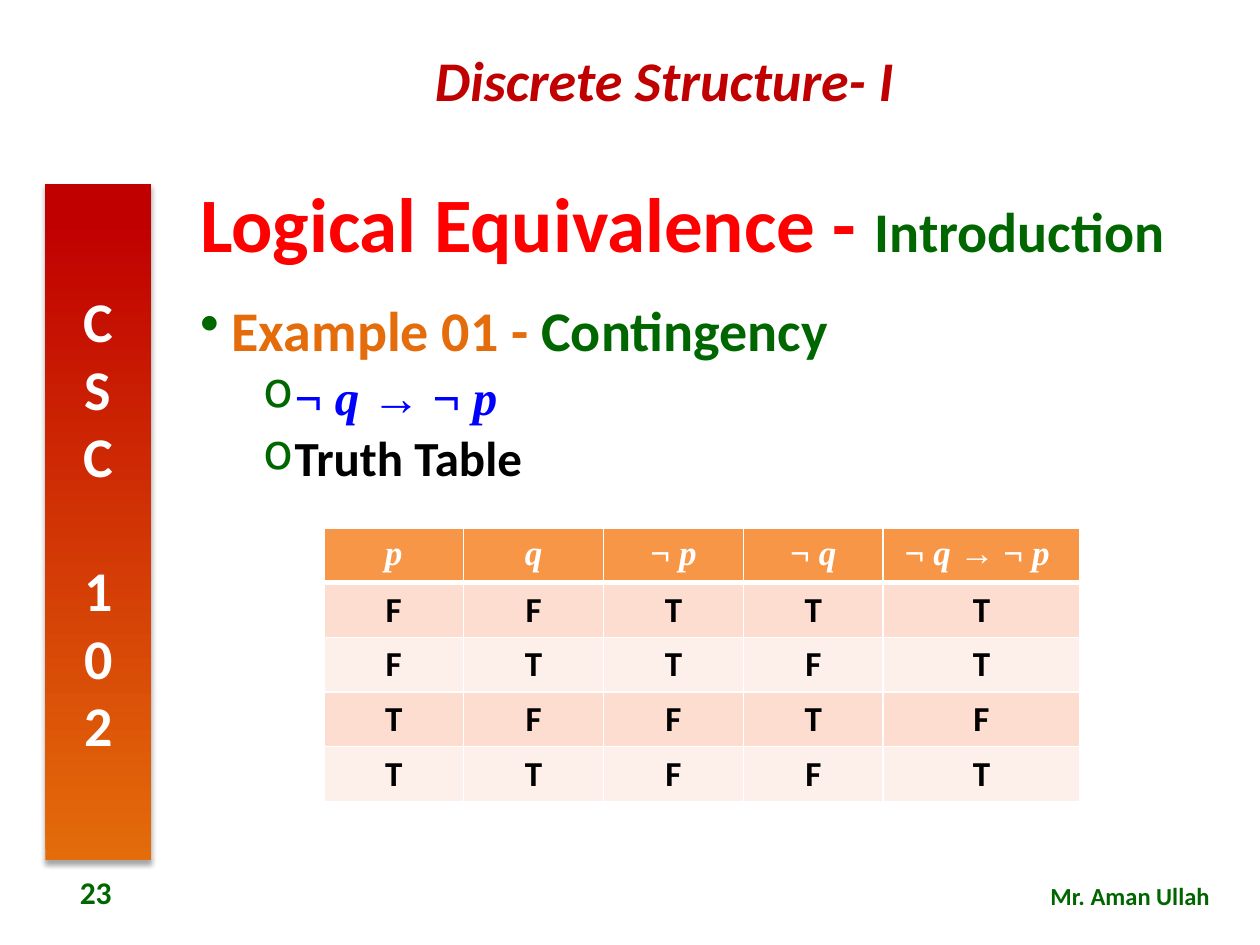
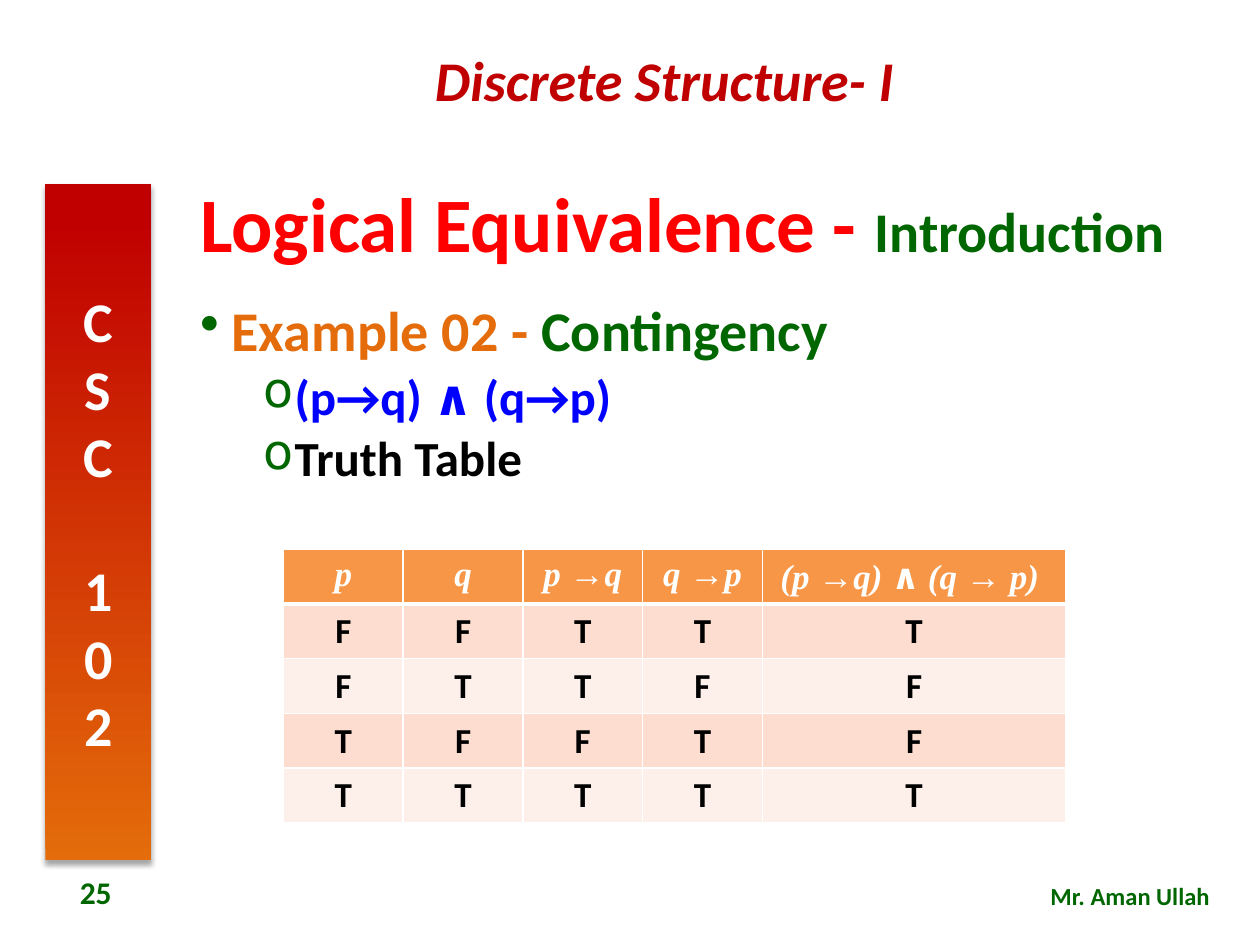
from lxml.etree import SubElement
from pptx import Presentation
from pptx.dml.color import RGBColor
from pptx.enum.shapes import MSO_SHAPE
from pptx.enum.text import MSO_ANCHOR, PP_ALIGN
from pptx.oxml import parse_xml
from pptx.oxml.ns import nsdecls, qn
from pptx.util import Inches, Pt

# Grid: 100 columns by 75 rows
UNIT = Inches(0.1)
RED, DEEP, ORANGE, GREEN = "FF0000", "C00000", "E46C0A", "006600"
BLUE, BLACK, WHITE = "0000FF", "000000", "FFFFFF"
HEAD, BANDS = "F79646", ("FCDDCF", "FDEFE9")
SANS, SERIF = "Calibri", "Times New Roman"
LEFT, MID, RIGHT, JUST = PP_ALIGN.LEFT, PP_ALIGN.CENTER, PP_ALIGN.RIGHT, PP_ALIGN.JUSTIFY
TOP, CORE = MSO_ANCHOR.TOP, MSO_ANCHOR.MIDDLE


def paint(fill, color):
    """Make a shape, cell or font fill solid in a hex colour."""
    fill.solid()
    fill.fore_color.rgb = RGBColor.from_string(color)


def write(par, align, runs, **base):
    """Add (text, format) runs; each format overrides the base."""
    par.alignment = align
    for text, extra in runs:
        look = {"name": SANS, "bold": True, "italic": False} | base | extra
        run = par.add_run()
        run.text = text
        paint(run.font.fill, look.pop("color"))
        for key, value in look.items():
            setattr(run.font, key, value)


VAR, SIGN = {"italic": True}, {}
P, Q = [("p", VAR)], [("q", VAR)]
CONTRA = [("¬ ", SIGN), ("q ", VAR), ("→ ¬ ", SIGN), ("p ", VAR)]
BOTH = [("(p ", VAR), ("→", SIGN), ("q) ", VAR), ("∧ ", {"name": SANS}),
        ("(q ", VAR), ("→ ", SIGN), ("p) ", VAR)]

pages = [
    {
        "page": "23", "label": "Example 01 - ", "claim": CONTRA, "font": SERIF,
        "place": (25.7, 41.9), "widths": [11.1] * 4 + [15.6],
        "heads": [P, Q, [("¬ ", SIGN), *P], [("¬ ", SIGN), *Q], CONTRA],
        "truth": ["FFTTT", "FTTFT", "TFFTF", "TTFFT"],
    },
    {
        "page": "25", "label": "Example 02 - ", "font": SANS,
        "claim": [("(p→q) ∧ (q→p)", SIGN)],
        "place": (22.5, 43.6), "widths": [9.5] * 4 + [24.1],
        "heads": [P, Q, [("p ", VAR), ("→", SIGN), *Q],
                  [("q ", VAR), ("→", SIGN), *P], BOTH],
        "truth": ["FFTTT", "FTTFF", "TFFTF", "TTTTT"],
    },
]

deck = Presentation()
deck.slide_width, deck.slide_height = 100 * UNIT, 75 * UNIT

for data in pages:
    slide = deck.slides.add_slide(deck.slide_layouts[6])

    # Course band
    band = slide.shapes.add_shape(
        MSO_SHAPE.RECTANGLE, *[int(n * UNIT) for n in (3.6, 14.6, 8.4, 53.7)])
    band.line.fill.background()
    band.fill.gradient()
    band.fill.gradient_angle = 90
    for stop, color, spot in zip(band.fill.gradient_stops, (ORANGE, DEEP), (0, 0.95)):
        stop.color.rgb = RGBColor.from_string(color)
        stop.position = spot
    band.shadow.inherit = False
    band.element.spPr.find(qn("a:effectLst")).append(parse_xml(
        f'<a:outerShdw {nsdecls("a")} blurRad="{Pt(3.1)}" dist="{Pt(1.8)}" '
        'dir="5400000" rotWithShape="0"><a:srgbClr val="000000">'
        '<a:alpha val="35000"/></a:srgbClr></a:outerShdw>'))
    frame = band.text_frame
    frame.vertical_anchor = CORE
    frame._txBody.bodyPr.set("vert", "wordArtVert")
    write(frame.paragraphs[0], MID, [("CSC 102", {})], size=Pt(32), color=WHITE)

    # Course name, author, page number and title
    title = [("Logical Equivalence - ", {"size": Pt(44), "color": RED}),
             ("Introduction", {"size": Pt(32), "color": GREEN})]
    boxes = [
        ((21.1, 3.1, 63.3, 6.4), TOP, MID, [("Discrete Structure- I", VAR)], 32, DEEP),
        ((68, 69.4, 29, 3.4), TOP, RIGHT, [("Mr. Aman Ullah", {})], 14, GREEN),
        ((2.4, 68.8, 10.4, 4), CORE, MID, [(data["page"], {})], 18, GREEN),
        ((14.9, 13.6, 83.9, 8.9), CORE, LEFT, title, 44, RED),
        ((14.9, 23.6, 83.9, 44), TOP, JUST, [], 32, GREEN),
    ]
    for place, anchor, align, runs, size, color in boxes:
        frame = slide.shapes.add_textbox(*[int(n * UNIT) for n in place]).text_frame
        frame.word_wrap = True
        frame.vertical_anchor = anchor
        write(frame.paragraphs[0], align, runs, size=Pt(size), color=color)
        if runs is title:
            frame.paragraphs[0].line_spacing = 0.9

    # Bullets go in the last box
    topic = [(data["label"], {"color": ORANGE}), ("Contingency", {"color": GREEN})]
    items = [
        (0, "•", topic, {"size": Pt(32)}),
        (1, "o", data["claim"], {"size": Pt(28), "color": BLUE, "name": data["font"]}),
        (1, "o", [("Truth Table", {})], {"size": Pt(28), "color": BLACK}),
    ]
    for level, mark, runs, look in items:
        par = frame.add_paragraph() if level else frame.paragraphs[0]
        par.level = level
        par.line_spacing = 0.9
        par.space_before = Pt(5 * level)
        props = par._p.get_or_add_pPr()
        props.set("marL", str(Inches(0.25 + 0.5 * level)))
        props.set("indent", str(-Inches(0.25)))
        SubElement(SubElement(props, qn("a:buClr")), qn("a:srgbClr"), val=GREEN)
        SubElement(props, qn("a:buChar"), char=mark)
        write(par, JUST, runs, **look)

    # Truth table
    widths, rows = data["widths"], [data["heads"], *data["truth"]]
    left, top = data["place"]
    table = slide.shapes.add_table(
        len(rows), len(widths),
        *[int(n * UNIT) for n in (left, top, sum(widths), 4.1 * len(rows))]).table
    for col, width in zip(table.columns, widths):
        col.width = int(width * UNIT)
    for r, row in enumerate(rows):
        for c, entry in enumerate(row):
            cell = table.cell(r, c)
            edges = {"L": 1, "R": 1, "T": 3 if r == 1 else 1, "B": 1 if r else 3}
            for side, weight in edges.items():
                line = SubElement(cell._tc.get_or_add_tcPr(), qn(f"a:ln{side}"),
                                  w=str(Pt(weight)))
                SubElement(SubElement(line, qn("a:solidFill")), qn("a:srgbClr"), val=WHITE)
            paint(cell.fill, BANDS[(r - 1) % 2] if r else HEAD)
            par = cell.text_frame.paragraphs[0]
            if r:
                write(par, MID, [(entry, {})], size=Pt(20), color=BLACK)
            else:
                write(par, MID, entry, size=Pt(20), color=WHITE, name=SERIF)

deck.save("out.pptx")
